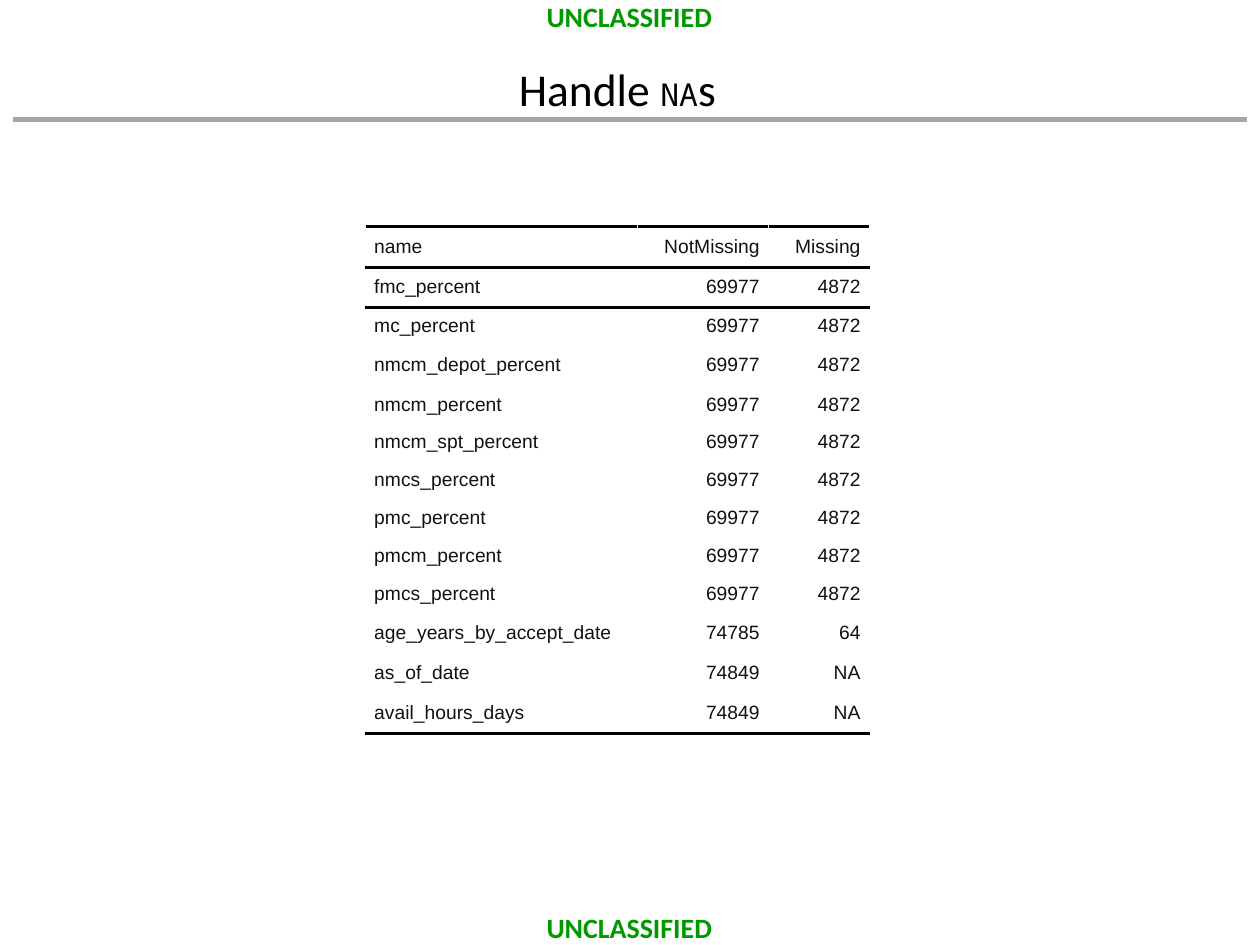
from lxml.etree import SubElement as Sub
from pptx import Presentation
from pptx.dml.color import RGBColor
from pptx.enum.shapes import MSO_CONNECTOR as Conn
from pptx.enum.text import MSO_ANCHOR as Anchor, PP_ALIGN as Align
from pptx.oxml.ns import qn
from pptx.util import Inches, Pt


def style(run, size, face, color, bold=False):
    font = run.font
    font.size, font.name, font.bold = Pt(size), face, bold
    font.color.rgb = RGBColor.from_string(color)


def add_text(left, top, width, height, parts, anchor, wrap):
    box = slide.shapes.add_textbox(Inches(left), Inches(top), Inches(width), Inches(height))
    frame = box.text_frame
    frame.word_wrap, frame.vertical_anchor = wrap, anchor
    frame.margin_left = frame.margin_right = frame.margin_top = frame.margin_bottom = 0
    para = frame.paragraphs[0]
    para.alignment = Align.CENTER
    for text, *look in parts:
        run = para.add_run()
        run.text = text
        style(run, *look)
    return para


deck = Presentation()
deck.slide_width, deck.slide_height = Inches(10), Inches(7.5)
slide = deck.slides.add_slide(deck.slide_layouts[6])

for top in (7.23, 0):
    mark = [("UNCLASSIFIED", 16, "Calibri", "009900", True)]
    add_text(4.33, top, 1.33, 0.27, mark, Anchor.TOP, False)

rule = slide.shapes.add_connector(Conn.STRAIGHT, Inches(9.9), Inches(0.95), Inches(0.1), Inches(0.95))
rule.line.width = Pt(3)
rule.line.color.rgb = RGBColor.from_string("A6A6A6")
Sub(rule._element.spPr, qn("a:effectLst"))

title = [
    ("Handle ", 26, "Calibri", "000000"),
    ("NA", 18, "Noto Sans Mono", "000000"),
    ("s", 26, "Calibri", "000000"),
]
add_text(0.85, 0.25, 8.1, 0.67, title, Anchor.BOTTOM, True).line_spacing = 0.9

names = ["fmc", "mc", "nmcm_depot", "nmcm", "nmcm_spt", "nmcs", "pmc", "pmcm", "pmcs"]
rows = [
    ("name", "NotMissing", "Missing"),
    *[(f"{name}_percent", "69977", "4872") for name in names],
    ("age_years_by_accept_date", "74785", "64"),
    ("as_of_date", "74849", "NA"),
    ("avail_hours_days", "74849", "NA"),
]
widths = (2.16, 1.04, 0.8)
tall = (0, 1, 3, 10, 11, 12)
last = len(rows) - 1
edges = {0: ("a:lnT", "a:lnB"), 1: ("a:lnT",), last: ("a:lnB",)}

table = slide.shapes.add_table(
    len(rows), len(widths), Inches(2.9), Inches(1.8), Inches(4), Inches(4.02)
).table
table.first_row = table.horz_banding = False
for col, width in zip(table.columns, widths):
    col.width = Inches(width)

for r, row in enumerate(rows):
    table.rows[r].height = Inches(0.32 if r in tall else 0.3)
    for c, text in enumerate(row):
        cell = table.cell(r, c)
        cell.margin_left = cell.margin_right = cell.margin_top = cell.margin_bottom = 0
        cell.vertical_anchor = Anchor.MIDDLE
        for edge in edges.get(r, ()):
            line = Sub(cell._tc.get_or_add_tcPr(), qn(edge), w=str(Pt(2)))
            Sub(Sub(line, qn("a:solidFill")), qn("a:srgbClr"), val="000000")
        cell.fill.background()
        para = cell.text_frame.paragraphs[0]
        para.text = text
        para.alignment = Align.RIGHT if c else Align.LEFT
        para.space_before = para.space_after = Pt(2)
        props = para._p.get_or_add_pPr()
        for side in ("marL", "marR"):
            props.set(side, str(Inches(0.07)))
        props.set("indent", "0")
        style(para.runs[0], 11, "Arial", "111111")

deck.save("out.pptx")
